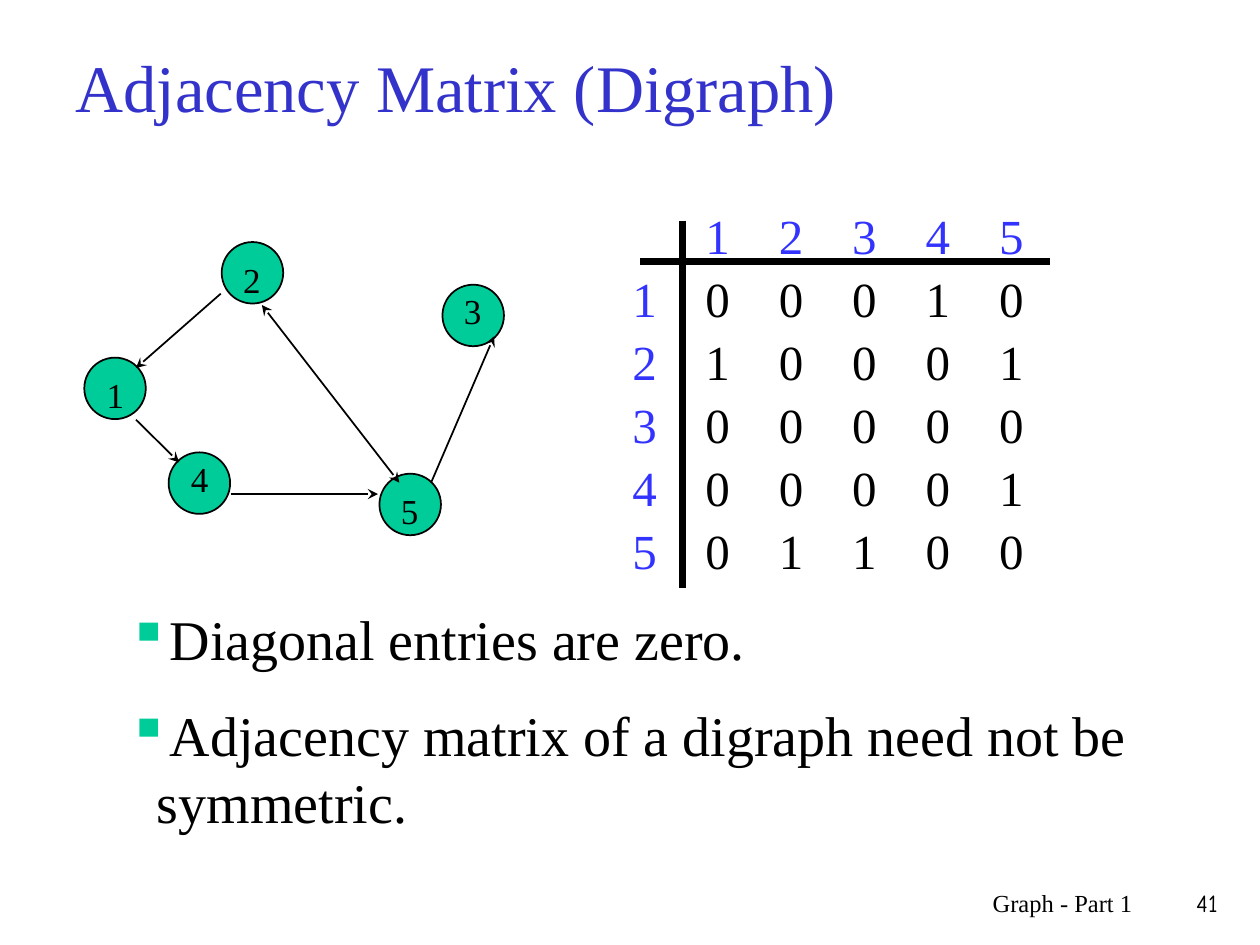
from dataclasses import dataclass

from lxml import etree
from pptx import Presentation
from pptx.dml.color import RGBColor
from pptx.enum.shapes import MSO_CONNECTOR, MSO_SHAPE
from pptx.enum.text import MSO_ANCHOR, MSO_AUTO_SIZE, PP_ALIGN
from pptx.oxml.ns import qn
from pptx.slide import Slide
from pptx.util import Cm, Pt

STRAIGHT = MSO_CONNECTOR.STRAIGHT
OVAL = MSO_SHAPE.OVAL
LEFT, RIGHT = PP_ALIGN.LEFT, PP_ALIGN.RIGHT
TOP, MIDDLE = MSO_ANCHOR.TOP, MSO_ANCHOR.MIDDLE
GROW = MSO_AUTO_SIZE.SHAPE_TO_FIT_TEXT

COLORS = {"title": "3333CC", "index": "3333FF", "node": "00CC99", "ink": "000000"}

# All lengths are in centimetres.
NODE_SIZE = 1.24
NODES = {  # label: circle corner, label corner
    "1": ((1.7, 7.21), (1.9, 7.41)),
    "2": ((4.47, 4.88), (4.65, 5.08)),
    "3": ((8.92, 5.74), (9.1, 5.72)),
    "4": ((3.4, 9.12), (3.6, 9.1)),
    "5": ((7.65, 9.55), (7.83, 9.74)),
}
EDGES = [  # start, end, ends that carry an arrowhead
    ((4.45, 5.92), (2.74, 7.42), ["tail"]),
    ((5.28, 6.15), (8.05, 9.73), ["head", "tail"]),
    ((2.74, 8.46), (3.61, 9.32), ["tail"]),
    ((9.96, 6.78), (8.69, 9.73), ["head"]),
    ((4.65, 9.96), (7.62, 9.96), ["tail"]),
]
MATRIX = ["00010", "10001", "00000", "00001", "01100"]
MATRIX_LEFT, MATRIX_TOP = 13.97, 5.28
COL_STEP, ROW_STEP = 1.48, 1.27
INDEX_LEFT = 12.5
INDEX_SIZE, CELL_SIZE = (1.27, 1.44), (0.85, 1.44)


def rgb(name):
    return RGBColor.from_string(COLORS[name])


@dataclass
class Board:
    s: Slide
    font: str = "Times New Roman"

    def text(self, at, size, lines, pt, color="ink", font=None,
             align=LEFT, anchor=TOP, grow=True):
        box = self.s.shapes.add_textbox(*map(Cm, at + size))
        tf = box.text_frame
        tf.word_wrap = True
        tf.vertical_anchor = anchor
        if grow:
            tf.auto_size = GROW
        tf.text = "\n".join(lines)
        for p in tf.paragraphs:
            p.alignment = align
            p.font.size = Pt(pt)
            p.font.name = font or self.font
            p.font.color.rgb = rgb(color)
        return tf

    def bullets(self, at, size, lines, pt):
        tf = self.text(at, size, lines, pt)
        for i, p in enumerate(tf.paragraphs):
            if i:
                p.space_before = Pt(pt / 2)
            pPr = p._p.get_or_add_pPr()
            pPr.set("marL", str(Cm(0.58)))
            pPr.set("indent", str(Cm(-0.58)))
            color = etree.Element(qn("a:buClr"))
            etree.SubElement(color, qn("a:srgbClr"), val=COLORS["node"])
            char = etree.Element(qn("a:buChar"), char="▪")
            default = pPr.find(qn("a:defRPr"))
            default.addprevious(color)
            default.addprevious(char)

    def circle(self, at):
        sp = self.s.shapes.add_shape(OVAL, *map(Cm, at + (NODE_SIZE, NODE_SIZE)))
        sp.shadow.inherit = False
        sp.fill.solid()
        sp.fill.fore_color.rgb = rgb("node")
        sp.line.color.rgb = rgb("ink")
        sp.line.width = Pt(1)

    def line(self, start, end, pt=1, arrows=()):
        cx = self.s.shapes.add_connector(STRAIGHT, *map(Cm, start + end))
        cx.line.color.rgb = rgb("ink")
        cx.line.width = Pt(pt)
        ln = cx.line._get_or_add_ln()
        for side in arrows:
            etree.SubElement(ln, qn(f"a:{side}End"), type="stealth")
        etree.SubElement(cx._element.spPr, qn("a:effectLst"))


def draw_graph(board):
    for corner, _ in NODES.values():
        board.circle(corner)
    for start, end, arrows in EDGES:
        board.line(start, end, arrows=arrows)
    for label, (_, corner) in NODES.items():
        board.text(corner, (0.64, 1.1), [label], 20)


def draw_matrix(board):
    for i, row in enumerate(MATRIX):
        x = MATRIX_LEFT + i * COL_STEP
        y = MATRIX_TOP + i * ROW_STEP
        index = [str(i + 1)]
        board.text((x, MATRIX_TOP - ROW_STEP), INDEX_SIZE, index, 28, "index")
        board.text((INDEX_LEFT, y), INDEX_SIZE, index, 28, "index")
        for j, value in enumerate(row):
            board.text((MATRIX_LEFT + j * COL_STEP, y), CELL_SIZE, [value], 28)
    board.line((12.9, MATRIX_TOP), (21.16, MATRIX_TOP), 4)
    board.line((13.76, 4.45), (13.76, 11.86), 4)


def main():
    prs = Presentation()
    prs.slide_width, prs.slide_height = Cm(25.4), Cm(19.05)
    board = Board(prs.slides.add_slide(prs.slide_layouts[6]))

    board.text((1.27, 0.76), (22.86, 1.96), ["Adjacency Matrix (Digraph)"], 38,
               "title", anchor=MIDDLE, grow=False)
    draw_graph(board)
    draw_matrix(board)
    board.bullets((2.33, 12.07), (22.43, 5), [
        "Diagonal entries are zero.",
        "Adjacency matrix of a digraph need not be symmetric.",
    ], 32)
    board.text((15.03, 17.78), (8.05, 1.27), ["Graph - Part 1"], 14,
               align=RIGHT, grow=False)
    board.text((23.07, 17.78), (1.73, 1.27), ["41"], 14, font="Comic Neue",
               align=RIGHT, grow=False)
    prs.save("out.pptx")


if __name__ == "__main__":
    main()
